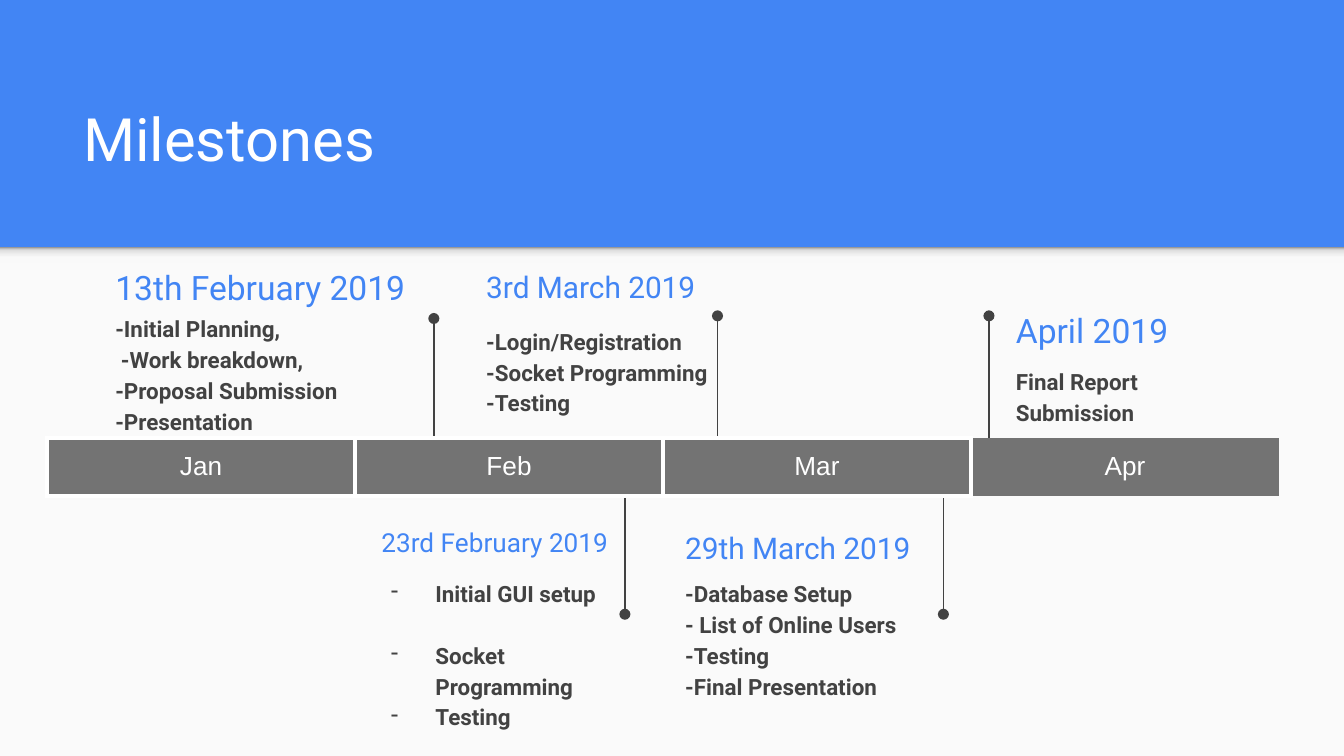
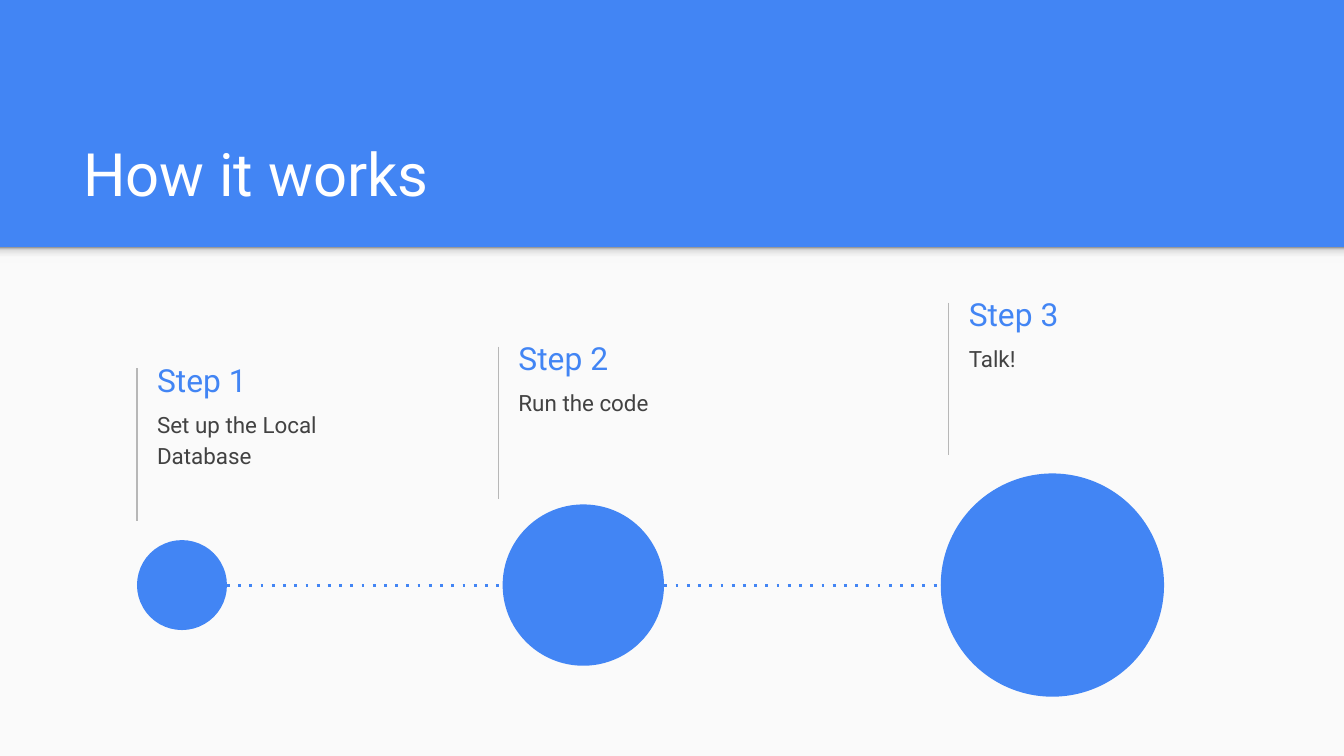
from dataclasses import dataclass

from lxml.etree import SubElement
from pptx import Presentation as Deck
from pptx.dml.color import RGBColor as Rgb
from pptx.dml.fill import FillFormat as Fill
from pptx.enum.shapes import MSO_CONNECTOR as Link, MSO_SHAPE as Kind
from pptx.enum.text import MSO_ANCHOR as Anchor, PP_ALIGN as Align
from pptx.oxml.ns import qn
from pptx.shapes.autoshape import Shape
from pptx.shapes.connector import Connector
from pptx.slide import Slide
from pptx.table import _Cell as Cell
from pptx.text.text import TextFrame as Frame
from pptx.util import Cm, Pt

# Shared look, lengths in cm
BLUE, PALE, WHITE = "4285F4", "FAFAFA", "FFFFFF"
DARK, GREY, RAIL = "424242", "737373", "B7B7B7"
FONT = "Roboto"
WIDE, HIGH, BAND = 25.4, 14.29, 4.67
INSET, HEAD = 0.25, 1.09
SHADE = ((0, "F9F9F9"), (36, "F9F9F9"), (80, "DEDEDE"), (100, "999999"))

# Month table and its stems
MONTHS = ("Jan", "Feb", "Mar", "Apr")
LEFT, TOP, COL, ROW = 0.89, 8.28, 5.82, 1.09
UNDER = 9.27

# Step circles
AXIS, RISE = 11.06, 2.88

Box = tuple[float, float, float, float]


@dataclass
class Milestone:
    date: str
    size: int
    head: tuple[float, float, float]
    body: Box
    lines: tuple[str, ...]
    stem: float
    tip: float
    dash: bool = False


@dataclass
class Step:
    name: str
    text: str
    rail: float
    top: float
    left: float
    span: float


EVENTS = (
    Milestone("13th February 2019", 18, (1.93, 4.88, 6.27), (1.93, 5.64, 5.03, 2.59),
              ("-Initial Planning,", " -Work breakdown,", "-Proposal Submission",
               "-Presentation"), 8.2, 6.02),
    Milestone("23rd February 2019", 14, (6.96, 9.7, 4.85), (6.71, 10.64, 4.85, 3.23),
              ("Initial GUI setup", "Socket Programming", "Testing"),
              11.81, 11.61, True),
    Milestone("3rd March 2019", 16, (8.94, 4.88, 4.85), (8.94, 5.87, 4.85, 2.59),
              ("-Login/Registration", "-Socket Programming", "-Testing"), 13.56, 5.97),
    Milestone("29th March 2019", 16, (12.7, 9.8, 5.03), (12.7, 10.64, 5.03, 2.59),
              ("-Database Setup", "- List of Online Users", "-Testing",
               "-Final Presentation"), 17.83, 11.61),
    Milestone("April 2019", 18, (18.95, 5.69, 5.03), (18.95, 6.63, 5.03, 1.6),
              ("Final Report Submission",), 18.69, 5.97),
)

STEPS = (
    Step("Step 1", "Set up the Local Database", 2.59, 6.96, 2.59, 1.7),
    Step("Step 2", "Run the code", 9.42, 6.55, 9.5, 3.05),
    Step("Step 3", "Talk!", 17.93, 5.72, 17.78, 4.22),
)


def paint(fill: Fill, tint: str) -> None:
    fill.solid()
    fill.fore_color.rgb = Rgb.from_string(tint)


def shape(slide: Slide, kind: Kind, box: Box, tint: str) -> Shape:
    item = slide.shapes.add_shape(kind, *map(Cm, box))
    item.shadow.inherit = False
    item.line.fill.background()
    paint(item.fill, tint)
    return item


def line(slide: Slide, start: tuple[float, float], end: tuple[float, float],
         tint: str, width: float = 0.75, dash: str = "", tail: str = "") -> Connector:
    item = slide.shapes.add_connector(Link.STRAIGHT, *map(Cm, start + end))
    paint(item.line.fill, tint)
    item.line.width = Pt(width)
    props = item._element.spPr
    edge = props.find(qn("a:ln"))
    if dash:
        SubElement(edge, qn("a:prstDash"), val=dash)
    if tail:
        SubElement(edge, qn("a:tailEnd"), type=tail)
    SubElement(props, qn("a:effectLst"))
    return item


def text(slide: Slide, box: Box, lines: tuple[str, ...], size: float, tint: str,
         anchor: Anchor = Anchor.TOP, bold: bool = False, space: float = 1.0,
         dash: bool = False) -> Frame:
    frame = slide.shapes.add_textbox(*map(Cm, box)).text_frame
    frame.word_wrap = True
    frame.vertical_anchor = anchor
    frame.margin_left = frame.margin_right = Cm(INSET)
    frame.margin_top = frame.margin_bottom = Cm(INSET)
    for rank, words in enumerate(lines):
        para = frame.add_paragraph() if rank else frame.paragraphs[0]
        para.text = words
        para.line_spacing = space
        if dash:
            props = para._p.get_or_add_pPr()
            props.set("marL", str(Cm(1.27)))
            props.set("indent", str(Cm(-0.84)))
            tone = SubElement(props, qn("a:buClr"))
            SubElement(tone, qn("a:srgbClr"), val=tint)
            SubElement(props, qn("a:buChar"), char="-")
        font = para.font
        font.name, font.size, font.bold = FONT, Pt(size), bold
        paint(font.fill, tint)
    return frame


def header(slide: Slide, box: Box, words: str, size: float) -> None:
    text(slide, box, (words,), size, BLUE, Anchor.MIDDLE)


def start(deck: Deck, title: str, lift: float = 0) -> Slide:
    """Add a slide with the blue band, its shade and the title."""
    slide = deck.slides.add_slide(deck.slide_layouts[6])
    paint(slide.background.fill, BLUE)
    shape(slide, Kind.RECTANGLE, (0, BAND, WIDE, HIGH - BAND), PALE)
    shade = shape(slide, Kind.RECTANGLE, (0, BAND, WIDE, 0.3), PALE)
    shade.fill.gradient()
    shade.fill.gradient_angle = 90
    stops = shade._element.spPr.find(".//" + qn("a:gsLst"))
    stops.clear()
    for place, tint in SHADE:
        stop = SubElement(stops, qn("a:gs"), pos=str(place * 1000))
        SubElement(stop, qn("a:srgbClr"), val=tint)
    frame = text(slide, (1.32, 2.06, 22.83, 2.13), (title,), 32, WHITE, Anchor.BOTTOM)
    frame.margin_bottom = Cm(INSET + lift)
    return slide


def border(cell: Cell, sides: str) -> None:
    props = cell._tc.get_or_add_tcPr()
    for side in "LRTB":
        edge = SubElement(props, qn(f"a:ln{side}"), w=str(Pt(2.25)))
        if side in sides:
            tone = SubElement(edge, qn("a:solidFill"))
            SubElement(tone, qn("a:srgbClr"), val=WHITE)
        else:
            SubElement(edge, qn("a:noFill"))


def calendar(slide: Slide) -> None:
    count = len(MONTHS)
    table = slide.shapes.add_table(
        1, count, Cm(LEFT), Cm(TOP), Cm(COL * count), Cm(ROW)).table
    table.first_row = table.horz_banding = False
    for rank, month in enumerate(MONTHS):
        cell = table.cell(0, rank)
        cell.margin_left = cell.margin_right = Cm(INSET)
        cell.margin_top = cell.margin_bottom = Cm(INSET)
        border(cell, "L" if rank == count - 1 else "LRTB")
        paint(cell.fill, GREY)
        cell.text = month
        para = cell.text_frame.paragraphs[0]
        para.alignment = Align.CENTER
        para.font.name, para.font.size = "Arial", Pt(14)
        paint(para.font.fill, WHITE)


def plan(deck: Deck) -> None:
    slide = start(deck, "Milestones", 0.66)
    for event in EVENTS:
        base = TOP if event.tip < TOP else UNDER
        line(slide, (event.stem, base), (event.stem, event.tip), DARK, tail="oval")
        header(slide, (*event.head, HEAD), event.date, event.size)
        frame = text(slide, event.body, event.lines, 12, DARK, bold=True,
                     space=1.15, dash=event.dash)
        if event.dash:
            # One line of air below the first item
            frame.paragraphs[0].space_after = Pt(16.5)
    calendar(slide)


def guide(deck: Deck) -> None:
    slide = start(deck, "How it works")
    for step in STEPS:
        left = step.rail + 0.13
        line(slide, (step.rail, step.top), (step.rail, step.top + RISE), RAIL)
        header(slide, (left, step.top - 0.33, 5.03, HEAD), step.name, 17)
        text(slide, (left, step.top + 0.48, 5.03, 1.6), (step.text,), 12, DARK,
             space=1.15)
    # Dotted axis below the circles
    first, last = STEPS[0], STEPS[-1]
    line(slide, (first.left + first.span, AXIS), (last.left, AXIS), BLUE, 1.5, "dot")
    for step in STEPS:
        shape(slide, Kind.OVAL,
              (step.left, AXIS - step.span / 2, step.span, step.span), BLUE)


def main() -> None:
    deck = Deck()
    deck.slide_width, deck.slide_height = Cm(WIDE), Cm(HIGH)
    plan(deck)
    guide(deck)
    deck.save("out.pptx")


if __name__ == "__main__":
    main()
